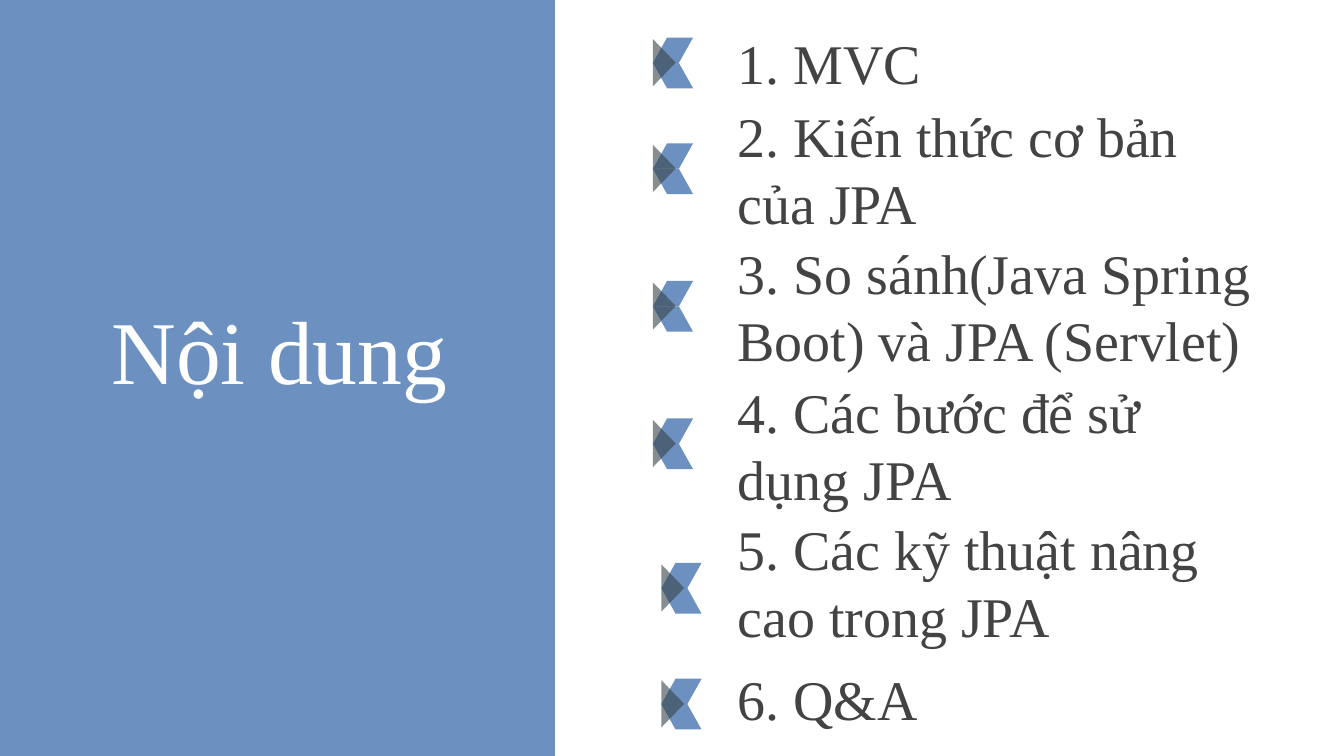
"""Build the contents slide: a blue title panel and six items with arrow markers."""
from lxml import etree
from pptx import Presentation
from pptx.dml.color import RGBColor
from pptx.enum.shapes import MSO_SHAPE
from pptx.enum.text import MSO_ANCHOR, PP_ALIGN
from pptx.oxml.ns import qn
from pptx.util import Cm, Pt

RECTANGLE = MSO_SHAPE.RECTANGLE
PARALLELOGRAM = MSO_SHAPE.PARALLELOGRAM
TRIANGLE = MSO_SHAPE.ISOSCELES_TRIANGLE
TOP, MIDDLE = MSO_ANCHOR.TOP, MSO_ANCHOR.MIDDLE
LEFT, CENTER = PP_ALIGN.LEFT, PP_ALIGN.CENTER

FONT = "Times New Roman"
BLUE, SLATE, GREY, WHITE = "5E85B9", "38444A", "434343", "FFFFFF"
PAGE_WIDTH, PAGE_HEIGHT = 25.4, 14.29
TITLE = "Nội dung"
ITEM_LEFT, ITEM_HEIGHT = 13.69, 1.3
NARROW, WIDE = 9.78, 11.53
MARK_LEFT, MARK_SHIFTED = 12.34, 12.5
WING_WIDTH, WING_HEIGHT = 0.76, 0.48

# text, text top, text width, marker left, marker top
ITEMS = [
    ("1. MVC", 0.53, NARROW, MARK_LEFT, 0.71),
    ("2. Kiến thức cơ bản của JPA", 2.54, NARROW, MARK_LEFT, 2.71),
    ("3. So sánh(Java Spring Boot) và JPA (Servlet)", 5.13, WIDE, MARK_LEFT, 5.31),
    ("4. Các bước để sử dụng JPA", 7.75, NARROW, MARK_LEFT, 7.91),
    ("5. Các kỹ thuật nâng cao trong JPA", 10.34, NARROW, MARK_SHIFTED, 10.64),
    ("6. Q&A", 12.55, NARROW, MARK_SHIFTED, 12.83),
]


def color(code):
    return RGBColor.from_string(code)


def add_solid(shapes, kind, frame, code, opacity, adjust=None):
    shape = shapes.add_shape(kind, *map(Cm, frame))
    shape.shadow.inherit = False
    shape.line.fill.background()
    shape.fill.solid()
    shape.fill.fore_color.rgb = color(code)
    tint = shape.element.spPr.find(".//" + qn("a:srgbClr"))
    etree.SubElement(tint, qn("a:alpha")).set("val", str(opacity * 1000))
    if adjust is not None:
        shape.adjustments[0] = adjust
    return shape


def add_text(page, text, frame, size, code, anchor, align):
    box = page.shapes.add_textbox(*map(Cm, frame))
    body = box.text_frame
    body.word_wrap = True
    body.vertical_anchor = anchor
    body.margin_left = body.margin_right = Cm(0.25)
    body.margin_top = body.margin_bottom = Cm(0.25)
    para = body.paragraphs[0]
    para.alignment = align
    span = para.add_run()
    span.text = text
    span.font.name = FONT
    span.font.size = Pt(size)
    span.font.color.rgb = color(code)


def add_marker(page, left, top):
    shapes = page.shapes.add_group_shape().shapes
    for row in range(2):
        frame = (left, top + row * WING_HEIGHT, WING_WIDTH, WING_HEIGHT)
        wing = add_solid(shapes, PARALLELOGRAM, frame, BLUE, 91, 0.56)
        if row:
            wing.element.spPr.get_or_add_xfrm().set("flipH", "1")
    frame = (left - 0.23, top + 0.26, 0.89, 0.43)
    add_solid(shapes, TRIANGLE, frame, SLATE, 60, 0.5).rotation = 90


def main():
    deck = Presentation()
    deck.slide_width, deck.slide_height = Cm(PAGE_WIDTH), Cm(PAGE_HEIGHT)
    page = deck.slides.add_slide(deck.slide_layouts[6])
    add_solid(page.shapes, RECTANGLE, (0, 0, 10.49, PAGE_HEIGHT), BLUE, 91)
    add_text(page, TITLE, (0.3, 5.33, 9.96, 4.9), 48, WHITE, TOP, CENTER)
    for text, top, width, mark_left, mark_top in ITEMS:
        add_marker(page, mark_left, mark_top)
        frame = (ITEM_LEFT, top, width, ITEM_HEIGHT)
        add_text(page, text, frame, 30, GREY, MIDDLE, LEFT)
    deck.save("out.pptx")


if __name__ == "__main__":
    main()
